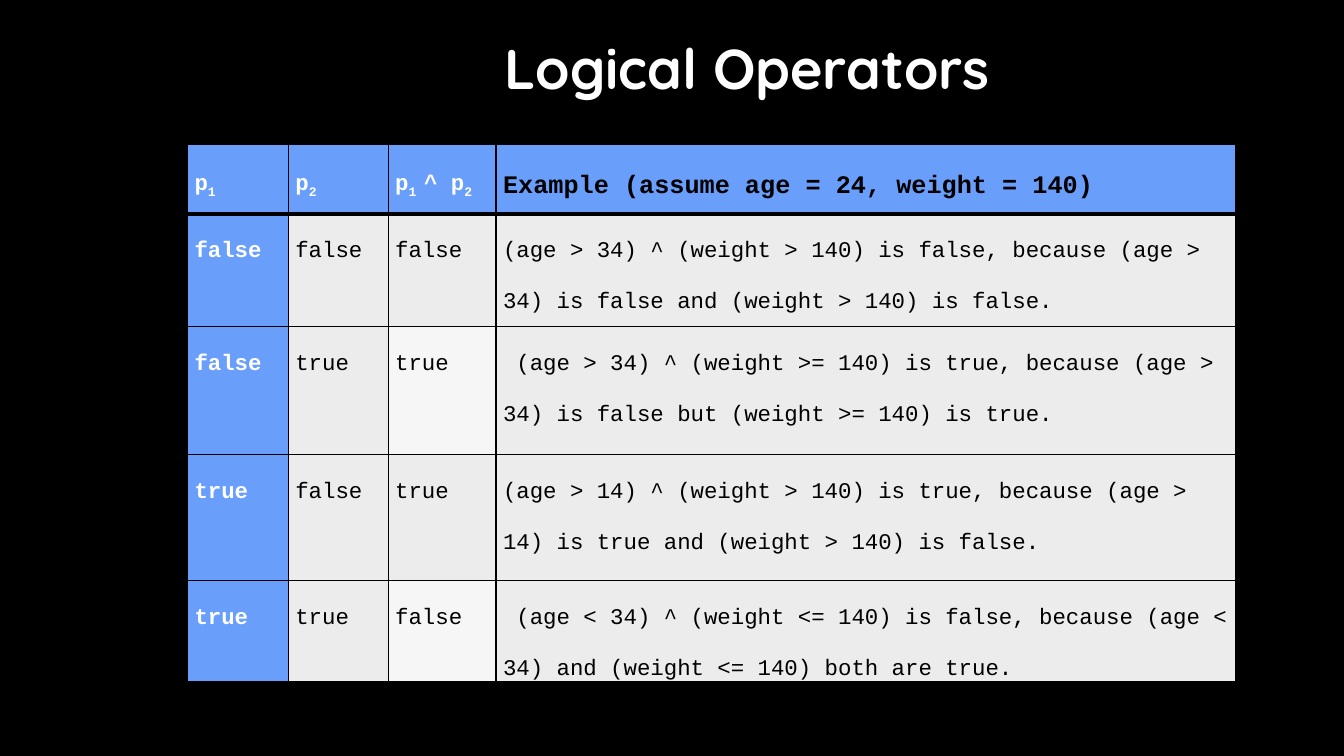
from pptx import Presentation
from pptx.dml.color import RGBColor
from pptx.enum.text import MSO_ANCHOR, MSO_AUTO_SIZE, PP_ALIGN
from pptx.oxml.ns import qn
from pptx.util import Inches, Pt
from lxml import etree

CENTER, TOP, NO_FIT = PP_ALIGN.CENTER, MSO_ANCHOR.TOP, MSO_AUTO_SIZE.NONE
BLACK, WHITE, BLUE = "000000", "FFFFFF", "699EFA"
GRAY, PALE = "ECECEC", "F6F6F6"

COLUMN_WIDTHS = [1, 0.99, 1.07, 7.34]
ROW_HEIGHTS = [0.69, 1.12, 1.27, 1.25, 1]
PALE_CELLS = {(2, 2), (4, 2)}

# Each cell is a list of spans; every second span is a subscript
HEADER = [["p", "1"], ["p", "2"], ["p", "1 ", "^ p", "2"],
          ["Example (assume age = 24, weight = 140)"]]
TRUTH_ROWS = [
    ("false", "false", "false",
     "(age > 34) ^ (weight > 140) is false, because (age > 34) is false "
     "and (weight > 140) is false."),
    ("false", "true", "true",
     "\u00a0(age > 34) ^ (weight >= 140) is true, because (age > 34) is false "
     "but (weight >= 140) is true."),
    ("true", "false", "true",
     "(age > 14) ^ (weight > 140) is true, because (age > 14) is true "
     "and (weight > 140) is false."),
    ("true", "true", "false",
     "\u00a0(age < 34) ^ (weight <= 140) is false, because (age < 34) "
     "and (weight <= 140) both are true."),
]


def color(value):
    return RGBColor.from_string(value)


def style_font(font, name, size, value, bold):
    font.name, font.size, font.bold = name, Pt(size), bold
    font.color.rgb = color(value)


def set_borders(cell, widths):
    """Draw black cell edges; they must come before the fill in the XML."""
    properties = cell._tc.get_or_add_tcPr()
    for index, (side, width) in enumerate(widths.items()):
        line = etree.Element(qn(f"a:ln{side}"), w=str(Pt(width)))
        fill = etree.SubElement(line, qn("a:solidFill"))
        etree.SubElement(fill, qn("a:srgbClr"), val=BLACK)
        properties.insert(index, line)


def add_title(page, box, text):
    title = page.shapes.title
    title.left, title.top, title.width, title.height = map(Inches, box)
    frame = title.text_frame
    frame.text = text
    frame.auto_size, frame.vertical_anchor = NO_FIT, TOP
    frame.margin_top = Inches(0.08)
    para = frame.paragraphs[0]
    para.alignment, para.line_spacing = CENTER, 0.8
    para.space_before = Pt(0)
    style_font(para.font, "Quicksand", 40, WHITE, True)


def fill_cell(cell, spans, row, column):
    is_header, is_label = row == 0, column == 0
    is_example_header = is_header and column == len(COLUMN_WIDTHS) - 1
    cell.margin_left = cell.margin_right = Inches(0.07)
    cell.margin_top = cell.margin_bottom = 0
    cell.vertical_anchor = TOP

    # Text
    para = cell.text_frame.paragraphs[0]
    para.line_spacing = 2.0
    is_white = (is_header or is_label) and not is_example_header
    style_font(para.font, "Courier New", 18 if is_example_header else 16,
               WHITE if is_white else BLACK, is_header or is_label)
    for index, text in enumerate(spans):
        span = para.add_run()
        span.text = text
        if index % 2:
            span.font._element.set("baseline", "-25000")

    # Fill and edges
    cell.fill.solid()
    plain = PALE if (row, column) in PALE_CELLS else GRAY
    cell.fill.fore_color.rgb = color(BLUE if is_header or is_label else plain)
    set_borders(cell, {"L": 1, "R": 1, "T": 3 if row == 1 else 1,
                       "B": 3 if is_header else 1})


def add_truth_table(page, left, top):
    rows = [HEADER] + [[[text] for text in row] for row in TRUTH_ROWS]
    table = page.shapes.add_table(
        len(rows), len(COLUMN_WIDTHS), Inches(left), Inches(top),
        Inches(sum(COLUMN_WIDTHS)), Inches(sum(ROW_HEIGHTS))).table
    for column, width in zip(table.columns, COLUMN_WIDTHS):
        column.width = Inches(width)
    for row, height in zip(table.rows, ROW_HEIGHTS):
        row.height = Inches(height)
    for row, cells in enumerate(rows):
        for column, spans in enumerate(cells):
            fill_cell(table.cell(row, column), spans, row, column)


def build_operators_slide(deck):
    page = deck.slides.add_slide(deck.slide_layouts[5])
    page.background.fill.solid()
    page.background.fill.fore_color.rgb = color(BLACK)
    add_title(page, (2.11, 0.38, 10.6, 0.66), "Logical Operators")
    add_truth_table(page, 1.86, 1.43)


deck = Presentation()
deck.slide_width, deck.slide_height = Inches(13.33), Inches(7.5)
build_operators_slide(deck)
deck.save("out.pptx")
